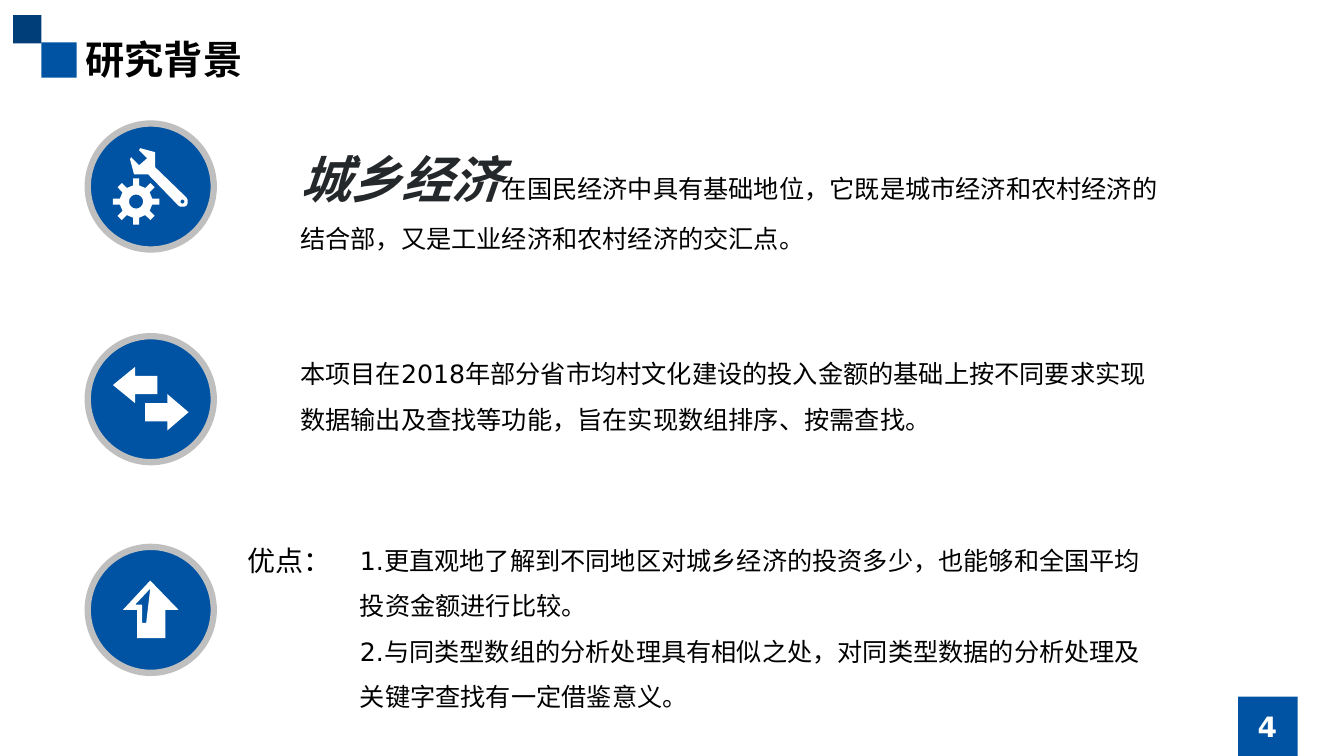
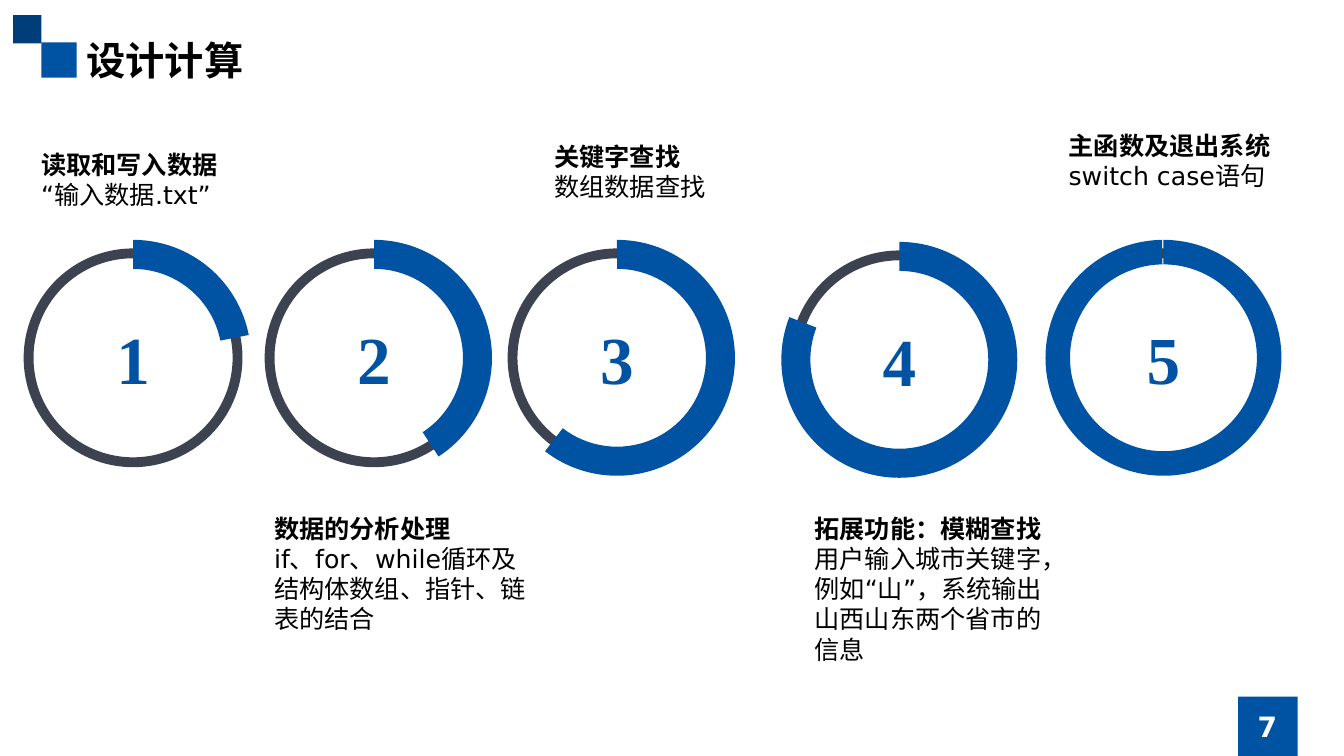
from dataclasses import dataclass
from math import cos, pi, sin

from lxml.etree import SubElement
from pptx import Presentation
from pptx.dml.color import RGBColor
from pptx.enum.lang import MSO_LANGUAGE_ID
from pptx.enum.shapes import MSO_SHAPE
from pptx.enum.text import MSO_ANCHOR, MSO_AUTO_SIZE, PP_ALIGN
from pptx.oxml.ns import qn
from pptx.shapes.autoshape import Shape
from pptx.slide import Slide
from pptx.util import Inches, Pt

BLUE, NAVY, SLATE, SILVER = "0053A3", "003E7A", "3C424F", "BFBFBF"
BLACK, INK, WHITE = "000000", "24282B", "FFFFFF"
BODY_FONT, HEADING_FONT, NUMBER_FONT = "DejaVu Sans", "Noto Sans CJK SC", "Times New Roman"

Point = tuple[float, float]
Box = tuple[float, float, float, float]


@dataclass(frozen=True)
class Run:
    text: str
    size: float = 18
    font: str = BODY_FONT
    color: str = BLACK
    bold: bool = False
    italic: bool = False
    outline: str = ""


@dataclass(frozen=True)
class Icon:
    center_y: float
    outlines: list[list[list[Point]]]


@dataclass(frozen=True)
class Step:
    center: Point
    sweep: float
    box: Box
    heading: str
    detail: str
    thickness: float = 0.123


def rgb(color: str) -> RGBColor:
    return RGBColor.from_string(color)


def fill_shape(shape: Shape, color: str, border: str = "", border_width: float = 0) -> None:
    shape.shadow.inherit = False
    shape.fill.solid()
    shape.fill.fore_color.rgb = rgb(color)
    if border:
        shape.line.color.rgb = rgb(border)
        shape.line.width = Pt(border_width)
    else:
        shape.line.fill.background()


def add_preset(slide: Slide, preset: MSO_SHAPE, box: Box, color: str, **border) -> Shape:
    shape = slide.shapes.add_shape(preset, *map(Inches, box))
    fill_shape(shape, color, **border)
    return shape


def write_text(shape: Shape, paragraphs: list[list[Run]], *, align: PP_ALIGN = PP_ALIGN.LEFT,
               anchor: MSO_ANCHOR = MSO_ANCHOR.TOP, line_spacing: float = 1.0,
               gap: float = 0) -> None:
    frame = shape.text_frame
    frame.word_wrap = True
    frame.auto_size = MSO_AUTO_SIZE.NONE
    frame.vertical_anchor = anchor
    for index, runs in enumerate(paragraphs):
        paragraph = frame.add_paragraph() if index else frame.paragraphs[0]
        if shape.is_placeholder:
            properties = paragraph._p.get_or_add_pPr()
            properties.set("marL", "0")
            properties.set("indent", "0")
            SubElement(properties, qn("a:buNone"))
        paragraph.alignment = align
        paragraph.line_spacing = line_spacing
        paragraph.space_before = Pt(gap if index else 0)
        for item in runs:
            run = paragraph.add_run()
            run.text = item.text
            font = run.font
            font.name = item.font
            font.size = Pt(item.size)
            font.bold = item.bold
            font.italic = item.italic
            font.color.rgb = rgb(item.color)
            font.language_id = MSO_LANGUAGE_ID.SIMPLIFIED_CHINESE
            properties = run._r.get_or_add_rPr()
            east_asian = SubElement(properties, qn("a:ea"))
            east_asian.set("typeface", item.font)
            if item.outline:
                line = SubElement(properties, qn("a:ln"), w=str(Pt(0.75)))
                solid = SubElement(line, qn("a:solidFill"))
                SubElement(solid, qn("a:srgbClr"), val=item.outline)
                properties.insert(0, line)


def add_text(slide: Slide, box: Box, paragraphs: list[list[Run]], **layout) -> None:
    write_text(slide.shapes.add_textbox(*map(Inches, box)), paragraphs, **layout)


def fill_placeholder(placeholder: Shape, box: Box, paragraphs: list[list[Run]], **layout) -> None:
    placeholder.left, placeholder.top, placeholder.width, placeholder.height = map(Inches, box)
    write_text(placeholder, paragraphs, **layout)


def add_outline(slide: Slide, contours: list[list[Point]], color: str) -> None:
    scaled = [[(Inches(x), Inches(y)) for x, y in contour] for contour in contours]
    builder = slide.shapes.build_freeform(*scaled[0][0], scale=1.0)
    for index, contour in enumerate(scaled):
        if index:
            builder.move_to(*contour[0])
        builder.add_line_segments(contour[1:], close=True)
    fill_shape(builder.convert_to_shape(), color)


def circle(center: Point, radius: float, count: int = 16) -> list[Point]:
    angles = [-2 * pi * index / count for index in range(count)]
    return [(center[0] + radius * cos(a), center[1] + radius * sin(a)) for a in angles]


def gear(center: Point, teeth: int = 8) -> list[Point]:
    tooth = [(0.16, -0.03), (0.23, -0.03), (0.23, 0.03), (0.16, 0.03)]
    points = []
    for index in range(teeth):
        c, s = cos(2 * pi * index / teeth), sin(2 * pi * index / teeth)
        points += [(center[0] + x * c - y * s, center[1] + x * s + y * c) for x, y in tooth]
    return points


def start_slide(deck: Presentation, layout: int, title: str, title_at: Point, number: int) -> Slide:
    slide = deck.slides.add_slide(deck.slide_layouts[layout])
    add_preset(slide, MSO_SHAPE.RECTANGLE, (0.41, 0.42, 0.35, 0.35), BLUE)
    add_preset(slide, MSO_SHAPE.RECTANGLE, (0.13, 0.15, 0.28, 0.28), NAVY)
    add_preset(slide, MSO_SHAPE.RECTANGLE, (12.28, 6.91, 0.59, 0.59), BLUE)
    fill_placeholder(slide.shapes.title, (*title_at, 5.91, 0.57),
                     [[Run(title, size=28, font=HEADING_FONT, bold=True)]])
    add_text(slide, (11.81, 7.01, 1.52, 0.4),
             [[Run(str(number), size=20, color=WHITE, bold=True)]],
             align=PP_ALIGN.CENTER, anchor=MSO_ANCHOR.MIDDLE)
    return slide


GEAR_CENTER = (1.35, 2.0)
WRENCH = [(1.85, 1.96), (1.54, 1.66), (1.54, 1.51), (1.39, 1.47), (1.38, 1.49), (1.46, 1.57),
          (1.38, 1.64), (1.3, 1.56), (1.29, 1.58), (1.33, 1.73), (1.47, 1.73), (1.77, 2.04),
          (1.79, 2.05), (1.83, 2.05), (1.85, 2.04), (1.86, 2.02), (1.86, 1.98)]
LEFT_ARROW = [(1.56, 3.91), (1.34, 3.91), (1.34, 4), (1.12, 3.82), (1.34, 3.64),
              (1.34, 3.73), (1.56, 3.73)]
RIGHT_ARROW = [(1.44, 4.18), (1.66, 4.18), (1.66, 4.27), (1.87, 4.09), (1.66, 3.91),
               (1.66, 4), (1.44, 4)]
UP_ARROW = [(1.36, 6.33), (1.36, 6.05), (1.22, 6.05), (1.49, 5.76), (1.77, 6.05),
            (1.64, 6.05), (1.64, 6.33)]
UP_ARROW_CUT = [(1.49, 5.84), (1.34, 6), (1.41, 6), (1.41, 6.18), (1.45, 6.18)]

ICONS = [
    Icon(1.85, [[gear(GEAR_CENTER), circle(GEAR_CENTER, 0.07)],
                [WRENCH, circle((1.81, 2.0), 0.02)]]),
    Icon(3.96, [[LEFT_ARROW, RIGHT_ARROW]]),
    Icon(6.05, [[UP_ARROW, UP_ARROW_CUT]]),
]

STEPS = [
    Step((1.32, 3.55), 78.84, (0.31, 1.43, 2.14, 0.71), "读取和写入数据", "“输入数据.txt”"),
    Step((3.71, 3.55), 146.84, (2.62, 5.04, 2.78, 1.31), "数据的分析处理",
         "if、for、while循环及结构体数组、指针、链表的结合"),
    Step((6.12, 3.55), 217.58, (5.4, 1.35, 1.9, 0.71), "关键字查找", "数组数据查找"),
    Step((8.92, 3.57), 291.24, (7.98, 5.04, 2.47, 1.61), "拓展功能：模糊查找",
         "用户输入城市关键字，例如“山”，系统输出山西山东两个省市的信息"),
    Step((11.54, 3.55), 359.29, (10.5, 1.24, 2.22, 0.71), "主函数及退出系统",
         "switch case语句", thickness=0.104),
]


def add_icon(slide: Slide, icon: Icon) -> None:
    add_preset(slide, MSO_SHAPE.OVAL, (0.87, icon.center_y - 0.625, 1.25, 1.25), BLUE,
               border=SILVER, border_width=4.5)
    for contours in icon.outlines:
        add_outline(slide, contours, WHITE)


def add_step(slide: Slide, number: int, step: Step) -> None:
    x, y = step.center
    ring_size, arc_size = 2.17, 2.34
    ring = add_preset(slide, MSO_SHAPE.DONUT,
                      (x - ring_size / 2, y - ring_size / 2, ring_size, ring_size), SLATE)
    ring.adjustments[0] = 0.045
    progress = add_preset(slide, MSO_SHAPE.BLOCK_ARC,
                          (x - arc_size / 2, y - arc_size / 2, arc_size, arc_size), BLUE)
    top, degree = 270, 0.6
    progress.adjustments[0] = top * degree
    progress.adjustments[1] = (top + step.sweep) % 360 * degree
    progress.adjustments[2] = step.thickness
    add_text(slide, (x - 1.13, y - 0.45, 2.26, 0.91),
             [[Run(str(number), size=48, font=NUMBER_FONT, color=BLUE, bold=True)]],
             align=PP_ALIGN.CENTER)
    add_text(slide, step.box, [[Run(step.heading, bold=True)], [Run(step.detail)]])


def build_background(deck: Presentation) -> None:
    slide = start_slide(deck, 1, "研究背景", (0.75, 0.3), 4)
    for icon in ICONS:
        add_icon(slide, icon)
    add_text(slide, (2.36, 5.31, 1.1, 0.44), [[Run("优点：", size=20)]], line_spacing=1.1)
    add_text(slide, (2.88, 1.12, 8.73, 3.28), [
        [Run("城乡经济", size=36, font=HEADING_FONT, color=INK, bold=True, italic=True,
             outline=WHITE),
         Run("在国民经济中具有基础地位，它既是城市经济和农村经济的结合部，又是工业经济和农村经济的交汇点。")],
        [Run("本项目在2018年部分省市均村文化建设的投入金额的基础上按不同要求实现数据输出及查找等功能，旨在实现数组排序、按需查找。")],
    ], line_spacing=1.5, gap=64)
    fill_placeholder(slide.placeholders[1], (3.47, 5.21, 8.14, 1.92), [
        [Run("1.更直观地了解到不同地区对城乡经济的投资多少，也能够和全国平均投资金额进行比较。")],
        [Run("2.与同类型数组的分析处理具有相似之处，对同类型数据的分析处理及关键字查找有一定借鉴意义。")],
    ], line_spacing=1.5)


def build_design(deck: Presentation) -> None:
    slide = start_slide(deck, 5, "设计计算", (0.76, 0.31), 7)
    for number, step in enumerate(STEPS, start=1):
        add_step(slide, number, step)


def main() -> None:
    deck = Presentation()
    deck.slide_width, deck.slide_height = Inches(13.33), Inches(7.5)
    build_background(deck)
    build_design(deck)
    deck.save("out.pptx")


if __name__ == "__main__":
    main()
